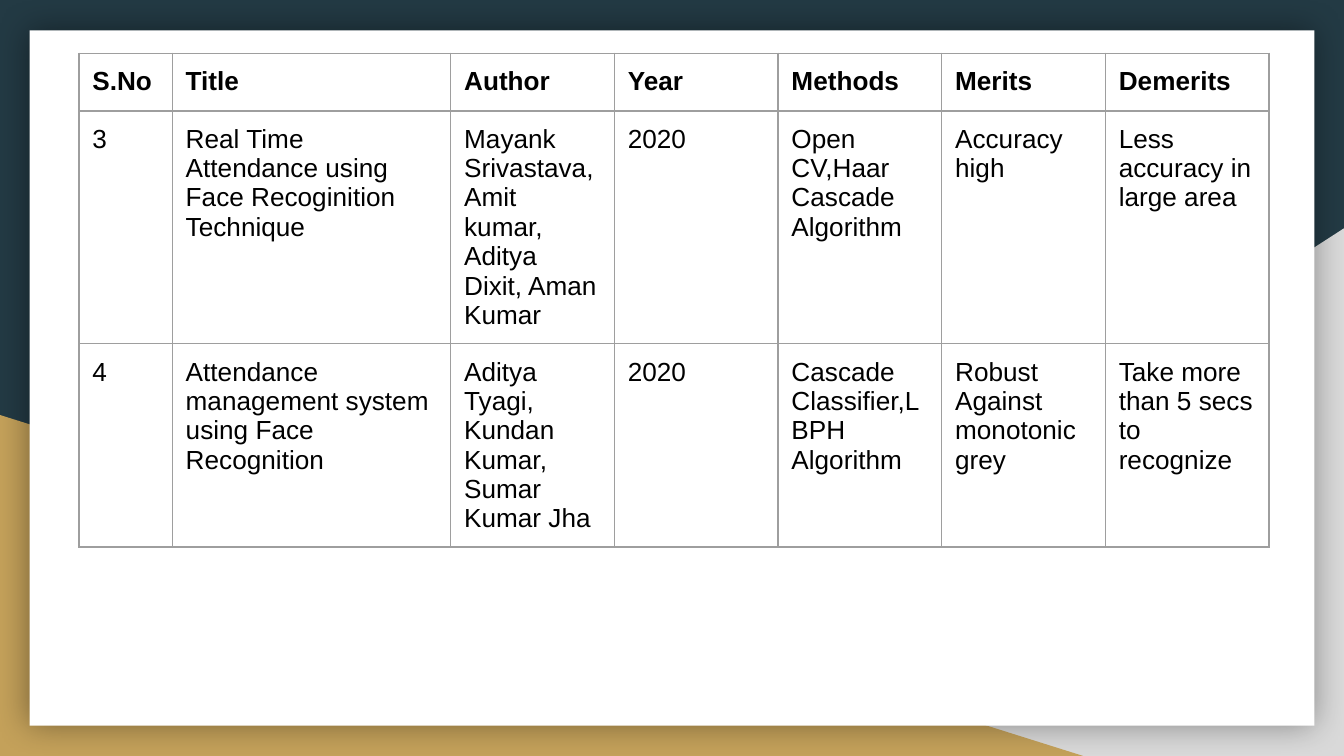
from lxml import etree
from pptx import Presentation
from pptx import util as u
from pptx.dml import color
from pptx.enum import shapes
from pptx.oxml import ns


# Colours and type sizes
class Theme:
    navy, grey, gold = "233A44", "D9D9D9", "C4A15A"
    white, black, rule = "FFFFFF", "000000", "9E9E9E"
    font, size, line = "Arial", 14, 0.75
    pad = u.Inches(0.1)


def rgb(code):
    return color.RGBColor.from_string(code)


def add(node, tag, **attrs):
    return etree.SubElement(node, ns.qn(tag), {k: str(v) for k, v in attrs.items()})


def put(item, vals):
    for name, val in vals.items():
        setattr(item, name, val)


# Drawing helper: lengths are per cent of the slide's width and height
class Deck:
    def __init__(self, theme, wide, high):
        self.theme = theme
        self.prs = Presentation()
        put(self.prs, {"slide_width": u.Inches(wide), "slide_height": u.Inches(high)})
        self.slide = self.prs.slides.add_slide(self.prs.slide_layouts[6])
        back = self.slide.background.fill
        back.solid()
        back.fore_color.rgb = rgb(theme.navy)

    def col(self, part):
        return round(self.prs.slide_width * part / 100)

    def row(self, part):
        return round(self.prs.slide_height * part / 100)

    def shape(self, kind, left, top, wide, high, fill, flip=False):
        item = self.slide.shapes.add_shape(
            kind, self.col(left), self.row(top), self.col(wide), self.row(high))
        item.shadow.inherit = False
        item.fill.solid()
        item.fill.fore_color.rgb = rgb(fill)
        item.line.fill.background()
        if flip:
            item._element.spPr.xfrm.set("flipH", "1")
        return item

    def glow(self, item, blur, alpha):
        effects = item._element.spPr.find(ns.qn("a:effectLst"))
        shade = add(effects, "a:outerShdw", blurRad=u.Pt(blur), dist=0, dir=0,
                    algn="ctr", rotWithShape=0)
        tint = add(shade, "a:srgbClr", val=self.theme.black)
        add(tint, "a:alpha", val=alpha * 1000)

    def table(self, left, top, cols, rows, data):
        grid = self.slide.shapes.add_table(
            len(rows), len(cols), self.col(left), self.row(top),
            self.col(sum(cols)), self.row(sum(rows))).table
        put(grid, {"first_row": False, "horz_banding": False})
        for col, wide in zip(grid.columns, cols):
            col.width = self.col(wide)
        for row, high in zip(grid.rows, rows):
            row.height = self.row(high)
        for r, line in enumerate(data):
            for c, words in enumerate(line):
                self.cell(grid.cell(r, c), words, bold=r == 0)

    def cell(self, cell, words, bold):
        look = self.theme
        sides = ("left", "right", "top", "bottom")
        put(cell, {f"margin_{side}": look.pad for side in sides})
        run = cell.text_frame.paragraphs[0].add_run()
        run.text = words
        put(run.font, {"name": look.font, "size": u.Pt(look.size), "bold": bold})
        run.font.color.rgb = rgb(look.black)
        # Borders come before the fill in the cell's properties
        props = cell._tc.get_or_add_tcPr()
        for side in "LRTB":
            edge = add(props, f"a:ln{side}", w=u.Pt(look.line))
            add(add(edge, "a:solidFill"), "a:srgbClr", val=look.rule)
        cell.fill.background()


def main():
    deck = Deck(Theme, 10, 5.625)
    kind = shapes.MSO_SHAPE

    # Backdrop and white card
    deck.shape(kind.RIGHT_TRIANGLE, 39.2, 30.2, 60.8, 69.8, Theme.grey, flip=True)
    deck.shape(kind.RIGHT_TRIANGLE, 0, 54.9, 80.6, 45.1, Theme.gold)
    card = deck.shape(kind.RECTANGLE, 2.2, 4, 95.6, 92, Theme.white)
    deck.glow(card, blur=18, alpha=40)

    # Survey of papers
    papers = [
        ("S.No", "Title", "Author", "Year", "Methods", "Merits", "Demerits"),
        ("3", "Real Time Attendance using Face Recoginition Technique",
         "Mayank Srivastava, Amit kumar, Aditya Dixit, Aman Kumar", "2020",
         "Open CV,Haar Cascade Algorithm", "Accuracy high",
         "Less accuracy in large area"),
        ("4", "Attendance management system using Face Recognition",
         "Aditya Tyagi, Kundan Kumar, Sumar Kumar Jha", "2020",
         "Cascade Classifier,LBPH Algorithm", "Robust Against monotonic grey",
         "Take more than 5 secs to recognize"),
    ]
    deck.table(5.87, 7.05, [6.95, 20.72] + [12.18] * 5, [7.65, 30.8, 26.85], papers)

    deck.prs.save("out.pptx")


if __name__ == "__main__":
    main()
